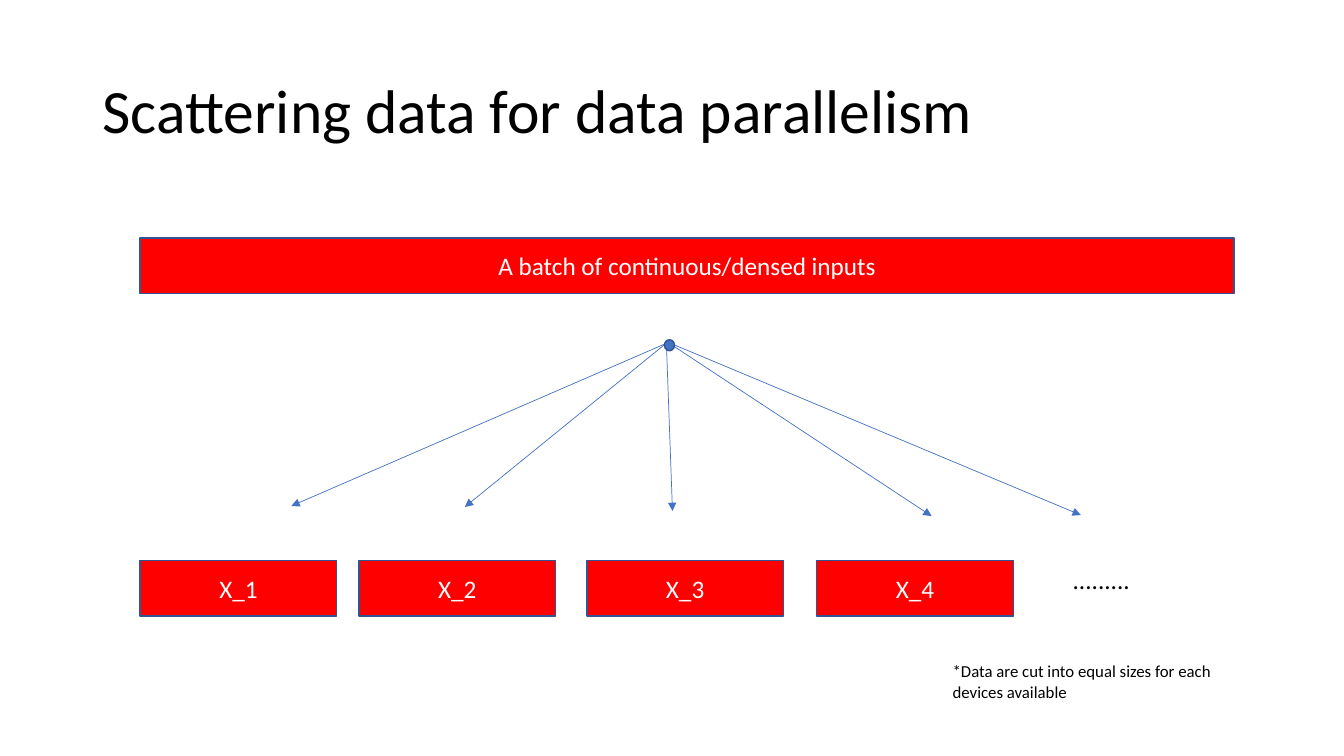
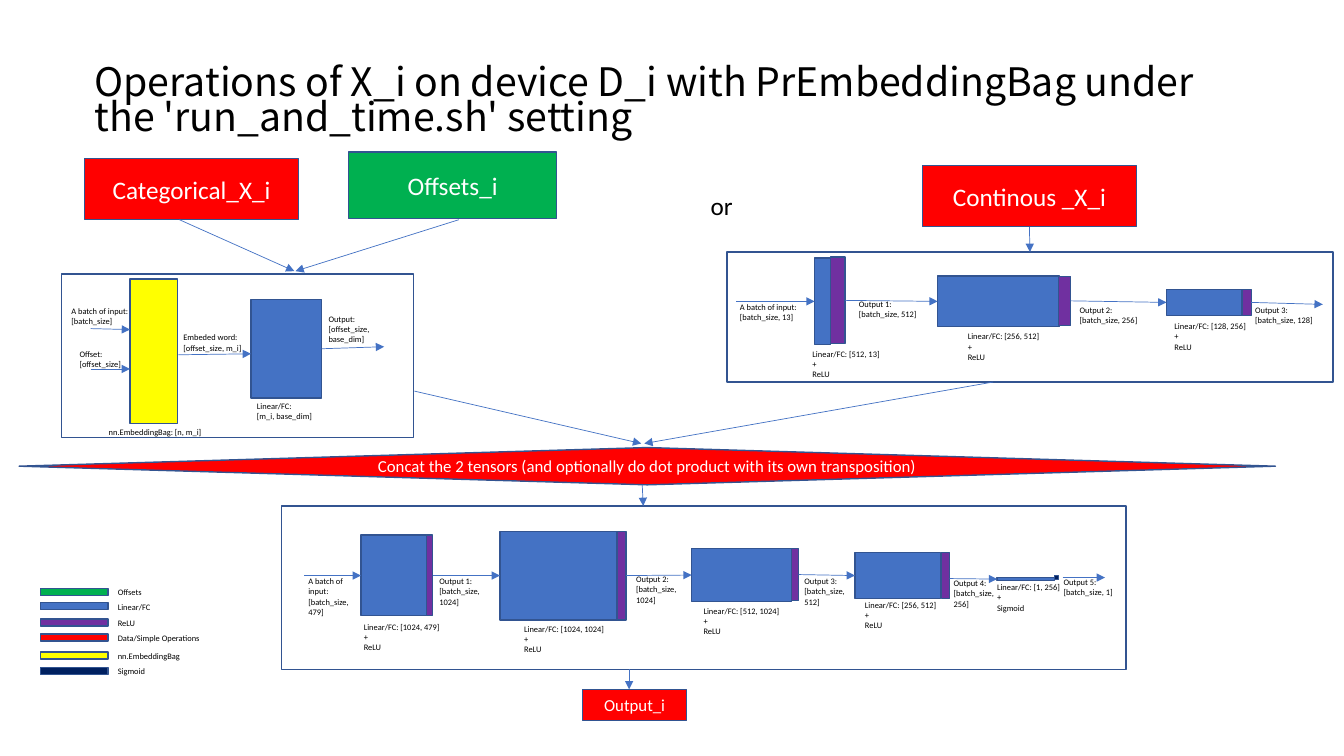
from lxml.etree import SubElement
from pptx import Presentation
from pptx.dml.color import RGBColor
from pptx.enum.shapes import MSO_CONNECTOR, MSO_SHAPE
from pptx.enum.text import MSO_ANCHOR, PP_ALIGN
from pptx.oxml.ns import qn
from pptx.util import Emu, Pt

EMU_PER_PX = 9144
JOIN_REACH = 3

BLACK = "000000"
WHITE = "FFFFFF"
RED = "FF0000"
GREEN = "00B050"
BLUE = "4472C4"
PURPLE = "7030A0"
YELLOW = "FFFF00"
NAVY = "002060"
OUTLINE = "325491"


def px(length):
    return Emu(length * EMU_PER_PX)


def rgb(value):
    return RGBColor.from_string(value)


class Diagram:
    font = "Calibri"
    title_font = "Noto Sans CJK SC"

    def __init__(self, width, height):
        self.deck = Presentation()
        self.deck.slide_width = px(width)
        self.deck.slide_height = px(height)

    def new_page(self):
        self.page = self.deck.slides.add_slide(self.deck.slide_layouts[6])
        self.rectangles = []

    def set_text(self, shape, text, size, color, font=None, align=PP_ALIGN.LEFT, spacing=1.0):
        frame = shape.text_frame
        frame.word_wrap = True
        frame.text = text
        for para in frame.paragraphs:
            para.alignment = align
            para.line_spacing = spacing
            for span in para.runs:
                span.font.size = Pt(size)
                span.font.name = font or self.font
                span.font.color.rgb = rgb(color)

    def title(self, text, left, top, width, height, size, font=None, spacing=0.9):
        box = self.page.shapes.add_textbox(px(left), px(top), px(width), px(height))
        box.text_frame.vertical_anchor = MSO_ANCHOR.MIDDLE
        self.set_text(box, text, size, BLACK, font, spacing=spacing)

    def label(self, text, left, top, width, size=6):
        line_height = round(size * 1.7)
        height = 10 + line_height * (text.count("\n") + 1)
        box = self.page.shapes.add_textbox(px(left), px(top), px(width), px(height))
        self.set_text(box, text, size, BLACK)

    def shape(self, kind, left, top, width, height, fill=None, text="", size=18):
        shape = self.page.shapes.add_shape(kind, px(left), px(top), px(width), px(height))
        shape.shadow.inherit = False
        if fill:
            shape.fill.solid()
            shape.fill.fore_color.rgb = rgb(fill)
        else:
            shape.fill.background()
        shape.line.color.rgb = rgb(OUTLINE)
        shape.line.width = Pt(1)
        if text:
            shape.text_frame.vertical_anchor = MSO_ANCHOR.MIDDLE
            self.set_text(shape, text, size, WHITE, align=PP_ALIGN.CENTER)
        return shape

    def rectangle(self, left, top, width, height, fill=None, text="", size=18):
        shape = self.shape(MSO_SHAPE.RECTANGLE, left, top, width, height, fill, text, size)
        self.rectangles.append(shape)

    def side_at(self, x, y):
        for shape in self.rectangles:
            middle_x = shape.left + shape.width / 2
            middle_y = shape.top + shape.height / 2
            sides = (
                (middle_x, shape.top),
                (shape.left, middle_y),
                (middle_x, shape.top + shape.height),
                (shape.left + shape.width, middle_y),
            )
            for index, (side_x, side_y) in enumerate(sides):
                if max(abs(side_x - px(x)), abs(side_y - px(y))) < px(JOIN_REACH):
                    return shape, index
        return None

    def arrow(self, start_x, start_y, end_x, end_y):
        connector = self.page.shapes.add_connector(
            MSO_CONNECTOR.STRAIGHT, px(start_x), px(start_y), px(end_x), px(end_y)
        )
        start = self.side_at(start_x, start_y)
        end = self.side_at(end_x, end_y)
        if start:
            connector.begin_connect(*start)
        if end:
            connector.end_connect(*end)
        connector.line.color.rgb = rgb(BLUE)
        connector.line.width = Pt(0.5)
        properties = connector.element.spPr
        SubElement(properties.find(qn("a:ln")), qn("a:tailEnd"), type="triangle")
        SubElement(properties, qn("a:effectLst"))

    def layer(self, block, strip, place, sizes, activation="ReLU"):
        self.rectangle(*block, BLUE)
        self.rectangle(*strip, PURPLE if activation == "ReLU" else NAVY)
        self.label(f"Linear/FC: {sizes}\n+\n{activation}", *place)

    def legend(self, entries, left):
        for top, fill, name in entries:
            self.rectangle(left, top, 67, 7, fill)
            self.label(name, left + 67, top - 6, 107)


def build_scatter(diagram):
    diagram.new_page()
    diagram.title("Scattering data for data parallelism", 92, 40, 1150, 145, 44)
    diagram.rectangle(139, 236, 1085, 55, RED, "A batch of continuous/densed inputs")
    for number, left in enumerate((139, 356, 582, 810), 1):
        diagram.rectangle(left, 556, 195, 55, RED, f"X_{number}")
    diagram.label(".........", 1054, 555, 300 - 30, 18)
    for ends in (
        (660, 341, 289, 502),
        (659, 342, 461, 503),
        (661, 342, 667, 507),
        (666, 342, 924, 512),
        (666, 341, 1072, 511),
    ):
        diagram.arrow(*ends)
    diagram.shape(MSO_SHAPE.OVAL, 659, 337, 10, 11, BLUE)
    diagram.label("*Data are cut into equal sizes for each devices available", 935, 651, 300, 12)


def build_operations(diagram):
    diagram.new_page()
    diagram.title(
        "Operations of X_i on device D_i with PrEmbeddingBag under\v"
        "the 'run_and_time.sh' setting",
        84, 54, 1149, 98, 28, diagram.title_font, 0.74,
    )
    diagram.shape(
        MSO_SHAPE.DIAMOND, 19, 444, 1246, 37, RED,
        "Concat the 2 tensors (and optionally do dot product with its own transposition)", 12,
    )
    diagram.rectangle(578, 684, 103, 31, RED, "Output_i", 12)
    diagram.rectangle(915, 164, 212, 61, RED, "Continous _X_i")
    diagram.rectangle(84, 157, 212, 61, RED, "Categorical_X_i")
    diagram.rectangle(346, 151, 206, 66, GREEN, "Offsets_i")
    diagram.label("or", 695, 184, 300, 18)
    for panel in ((721, 250, 601, 129), (61, 272, 349, 162), (279, 502, 838, 162)):
        diagram.rectangle(*panel)

    diagram.rectangle(129, 277, 47, 143, YELLOW)
    diagram.rectangle(249, 297, 70, 98, BLUE)

    for layer in (
        ((808, 256, 16, 86), (824, 255, 14, 86), (796, 341, 152), "[512, 13]"),
        ((930, 274, 121, 50), (1050, 274, 12, 49), (950, 324, 141), "[256, 512]"),
        ((1157, 287, 76, 26), (1232, 287, 9, 26), (1155, 314, 141), "[128, 256]"),
        ((358, 531, 65, 80), (423, 531, 6, 80), (351, 612, 107), "[1024, 479]"),
        ((496, 527, 117, 88), (612, 527, 9, 88), (510, 614, 107), "[1024, 1024]"),
        ((686, 544, 99, 53), (785, 544, 7, 52), (688, 596, 107), "[512, 1024]"),
        ((848, 548, 85, 46), (934, 548, 8, 46), (848, 590, 99), "[256, 512]"),
        ((989, 573, 57, 3), (1046, 571, 4, 4), (979, 573, 99), "[1, 256]", "Sigmoid"),
    ):
        diagram.layer(*layer)

    for label in (
        ("A batch of input: [batch_size]", 61, 299, 86),
        ("Offset: [offset_size]", 69, 341, 72),
        ("nn.EmbeddingBag: [n, m_i]", 98, 419, 129),
        ("Embeded word: [offset_size, m_i]", 172, 325, 87),
        ("Linear/FC:\n[m_i, base_dim]", 245, 393, 85),
        ("Output: [offset_size, base_dim]", 316, 307, 85),
        ("A batch of input:\n[batch_size, 13]", 724, 295, 99),
        ("A batch of input:\n[batch_size, 479]", 296, 567, 70),
    ):
        diagram.label(*label)

    for outputs in (
        ((512, 842, 292, 88), (256, 1061, 298, 99), (128, 1235, 298, 98)),
        (
            (1024, 426, 567, 62),
            (1024, 621, 565, 62),
            (512, 788, 567, 70),
            (256, 936, 569, 70),
            (1, 1045, 568, 70),
        ),
    ):
        for number, (size, left, top, width) in enumerate(outputs, 1):
            diagram.label(f"Output {number}:\n[batch_size, {size}]", left, top, width)

    for ends in (
        (178, 218, 292, 269),
        (455, 218, 293, 269),
        (1021, 225, 1022, 250),
        (411, 388, 636, 440),
        (985, 379, 639, 440),
        (637, 481, 638, 502),
        (624, 664, 624, 684),
        (90, 326, 129, 327),
        (90, 366, 129, 366),
        (177, 352, 249, 351),
        (318, 345, 381, 344),
        (730, 299, 808, 299),
        (836, 297, 929, 297),
        (1063, 301, 1156, 302),
        (1241, 301, 1312, 302),
        (302, 571, 357, 571),
        (429, 570, 494, 570),
        (621, 569, 686, 569),
        (793, 572, 848, 571),
        (942, 574, 987, 574),
        (1054, 573, 1096, 573),
    ):
        diagram.arrow(*ends)

    diagram.legend(
        (
            (584, GREEN, "Offsets"),
            (598, BLUE, "Linear/FC"),
            (614, PURPLE, "ReLU"),
            (629, RED, "Data/Simple Operations"),
            (647, YELLOW, "nn.EmbeddingBag"),
            (662, NAVY, "Sigmoid"),
        ),
        40,
    )


def main():
    diagram = Diagram(1333, 750)
    build_scatter(diagram)
    build_operations(diagram)
    diagram.deck.save("out.pptx")


if __name__ == "__main__":
    main()
